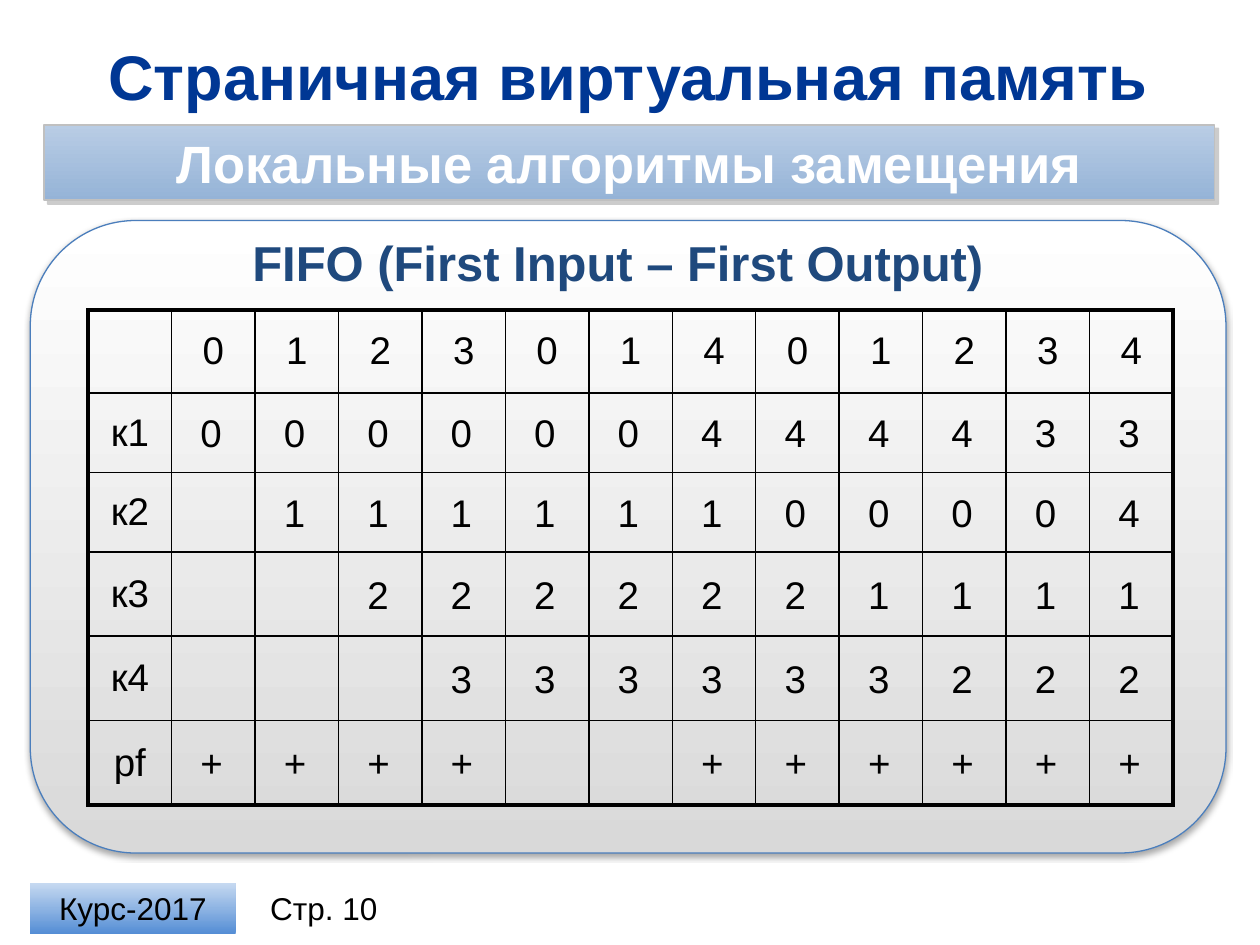
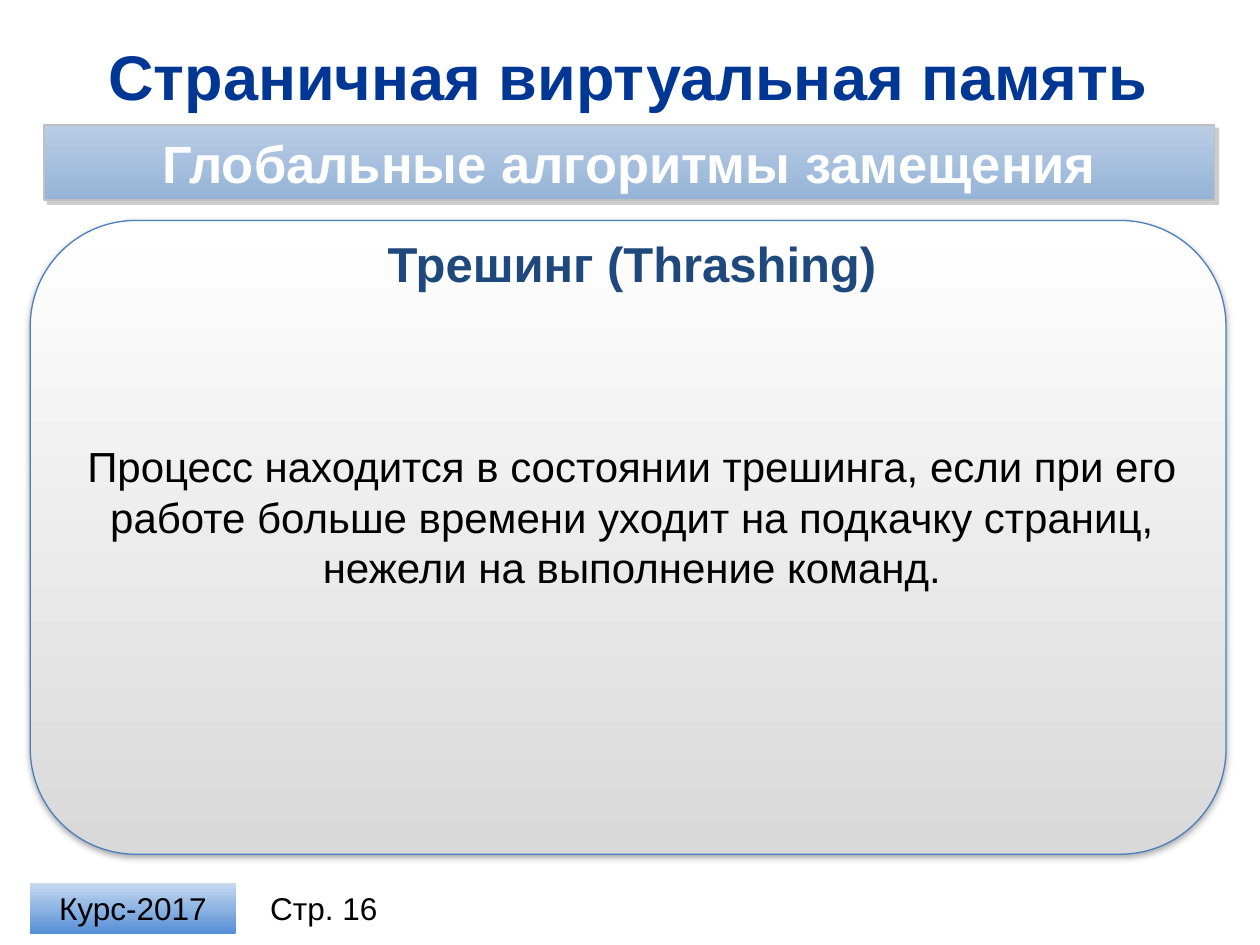
from lxml.etree import SubElement
from pptx import Presentation
from pptx.dml.color import RGBColor
from pptx.enum.shapes import MSO_SHAPE
from pptx.enum.text import MSO_ANCHOR, PP_ALIGN
from pptx.oxml.ns import qn
from pptx.util import Inches, Pt

FONT = "Arial"
BLACK, WHITE = "000000", "FFFFFF"
NAVY, BLUE = "003794", "1F497D"
EDGE, GRAY = "4B7EBC", "C0C0C0"
PANEL = [(0, WHITE), (100, "D9D9D9")]
BAND = [(0, "B9CDE5"), (100, "95B3D7")]
BADGE = [(0, "558ED5"), (50, "8EB4E3"), (100, "C6D9F1")]
TITLE = "Страничная виртуальная память"
MARK = "Курс-2017"
BODY = (0.59, 1.8, 8.85)  # left, top and width of the panel text

REFS = "012301401234"
FRAMES = ["к1", "к2", "к3", "к4", "pf"]
# One string per table row, one sign per reference
STATES = [
    "000000444433",
    " 11111100004",
    "  2222221111",
    "   333333222",
    "++++  ++++++",
]
ROWS = [0.66, 0.63, 0.63, 0.67, 0.67, 0.67]


def color(code):
    return RGBColor.from_string(code)


def box(left, top, width, height):
    return [Inches(n) for n in (left, top, width, height)]


def write(frame, text, size=18, code=BLACK, bold=False, align=PP_ALIGN.CENTER,
          anchor=MSO_ANCHOR.MIDDLE, before=0, after=0, inset=None, more=False):
    """Put one formatted paragraph in a frame, or add it when more is set."""
    para = frame.add_paragraph() if more else frame.paragraphs[0]
    frame.word_wrap = True
    frame.vertical_anchor = anchor
    if inset:
        (frame.margin_left, frame.margin_top,
         frame.margin_right, frame.margin_bottom) = box(*inset)
    para.alignment = align
    para.space_before, para.space_after = Pt(before), Pt(after)
    run = para.add_run()
    run.text = text
    run.font.name, run.font.size, run.font.bold = FONT, Pt(size), bold
    run.font.color.rgb = color(code)


def paint(parent, code, alpha=None):
    node = SubElement(parent, qn("a:srgbClr"), val=code)
    if alpha:
        SubElement(node, qn("a:alpha"), val=str(alpha * 1000))


def blend(shape, stops, angle):
    """Fill a shape with a linear gradient."""
    shape.fill.background()
    props = shape.element.spPr
    blank = props.find(qn("a:noFill"))
    grad = SubElement(props, qn("a:gradFill"), rotWithShape="1")
    props.replace(blank, grad)
    group = SubElement(grad, qn("a:gsLst"))
    for place, code in stops:
        paint(SubElement(group, qn("a:gs"), pos=str(place * 1000)), code)
    SubElement(grad, qn("a:lin"), ang=str(angle * 60000), scaled="0")


def shade(shape, code, alpha, blur, dist, angle):
    """Cast an outer shadow; blur and distance are in points."""
    effects = shape.element.spPr.find(qn("a:effectLst"))
    node = SubElement(effects, qn("a:outerShdw"), blurRad=str(Pt(blur)),
                      dist=str(Pt(dist)), dir=str(angle * 60000),
                      algn="ctr", rotWithShape="0")
    paint(node, code, alpha)


def block(slide, kind, area, stops, angle=90, line=None, width=1, shadow=None):
    shape = slide.shapes.add_shape(kind, *box(*area))
    shape.shadow.inherit = False
    blend(shape, stops, angle)
    if line:
        shape.line.color.rgb = color(line)
        shape.line.width = Pt(width)
    else:
        shape.line.fill.background()
    if shadow:
        shade(shape, *shadow)
    return shape


def label(slide, area, text, **style):
    frame = slide.shapes.add_textbox(*box(*area)).text_frame
    write(frame, text, **style)
    return frame


def base(deck, topic, page, depth):
    """Make a slide with the shared title, band, panel and footer."""
    slide = deck.slides.add_slide(deck.slide_layouts[5])
    # Panel
    block(slide, MSO_SHAPE.ROUNDED_RECTANGLE, (0.24, 1.75, 9.49, depth), PANEL,
          line=EDGE, width=0.75, shadow=(BLACK, 35, 3.1, 1.8, 90))
    # Title
    title = slide.shapes.title
    title.left, title.top, title.width, title.height = box(0.24, 0.26, 9.49, 0.68)
    write(title.text_frame, TITLE, size=36, code=NAVY, bold=True)
    # Footer
    label(slide, (2.03, 7.01, 1.08, 0.4), f"Стр. {page}", inset=(0, 0, 0, 0))
    badge = block(slide, MSO_SHAPE.RECTANGLE, (0.24, 7.01, 1.63, 0.4), BADGE, 270)
    write(badge.text_frame, MARK)
    # Topic band
    band = block(slide, MSO_SHAPE.RECTANGLE, (0.35, 0.99, 9.29, 0.6), BAND,
                 line=GRAY, shadow=("808080", 40, 0, 3, 45))
    write(band.text_frame, topic, size=30, code=WHITE, bold=True,
          inset=(0.24, 0.04, 0.24, 0.04))
    return slide


def head(slide, area, text, **style):
    return label(slide, area, text, size=28, code=BLUE, bold=True, after=6,
                 anchor=MSO_ANCHOR.TOP, **style)


def border(cell, heavy):
    """Draw the four cell edges; the sides in heavy are thick."""
    props = cell._tc.get_or_add_tcPr()
    for side in "LRTB":
        width = Pt(2.25 if side in heavy else 1)
        line = SubElement(props, qn(f"a:ln{side}"), w=str(width))
        paint(SubElement(line, qn("a:solidFill")), BLACK)
    cell.fill.background()


def grid(slide, left, top, width):
    """Draw the table of references and frames, then its states."""
    count = len(REFS) + 1
    step = width / count
    table = slide.shapes.add_table(
        len(ROWS), count, *box(left, top, width, sum(ROWS))).table
    table.first_row = table.horz_banding = False
    for col in table.columns:
        col.width = Inches(step)
    for r, height in enumerate(ROWS):
        table.rows[r].height = Inches(height)
        for c in range(count):
            heavy = ("L" * (c == 0) + "R" * (c == count - 1)
                     + "T" * (r == 0) + "B" * (r == len(ROWS) - 1))
            cell = table.cell(r, c)
            border(cell, heavy)
            text = FRAMES[r - 1] if r and not c else REFS[c - 1] if c and not r else ""
            if text:
                write(cell.text_frame, text, size=22, before=4.4)
                cell.vertical_anchor = MSO_ANCHOR.MIDDLE
    # States lie over the cells as separate labels
    for r, row in enumerate(STATES, 1):
        y = top + sum(ROWS[:r]) + (ROWS[r] - 0.47) / 2
        for c, sign in enumerate(row, 1):
            if sign != " ":
                label(slide, (left + c * step + 0.13, y, 0.4, 0.47), sign,
                      size=22, align=PP_ALIGN.LEFT, anchor=MSO_ANCHOR.TOP)


def fifo(deck):
    slide = base(deck, "Локальные алгоритмы замещения", 10, 5.02)
    head(slide, (*BODY, 0.57), "FIFO (First Input – First Output)",
         inset=(0.1, 0.05, 0.32, 0.05))
    grid(slide, 0.7, 2.46, 8.61)


def thrash(deck):
    slide = base(deck, "Глобальные алгоритмы замещения", 16, 5.03)
    frame = head(slide, (*BODY, 3.05), "Трешинг (Thrashing)")
    write(frame, "Процесс находится в состоянии трешинга, если при его работе "
          "больше времени уходит на подкачку страниц, нежели на выполнение "
          "команд.", size=24, before=79, after=6, anchor=MSO_ANCHOR.TOP, more=True)


deck = Presentation()
deck.slide_width, deck.slide_height = Inches(10), Inches(7.5)
fifo(deck)
thrash(deck)
deck.save("out.pptx")
